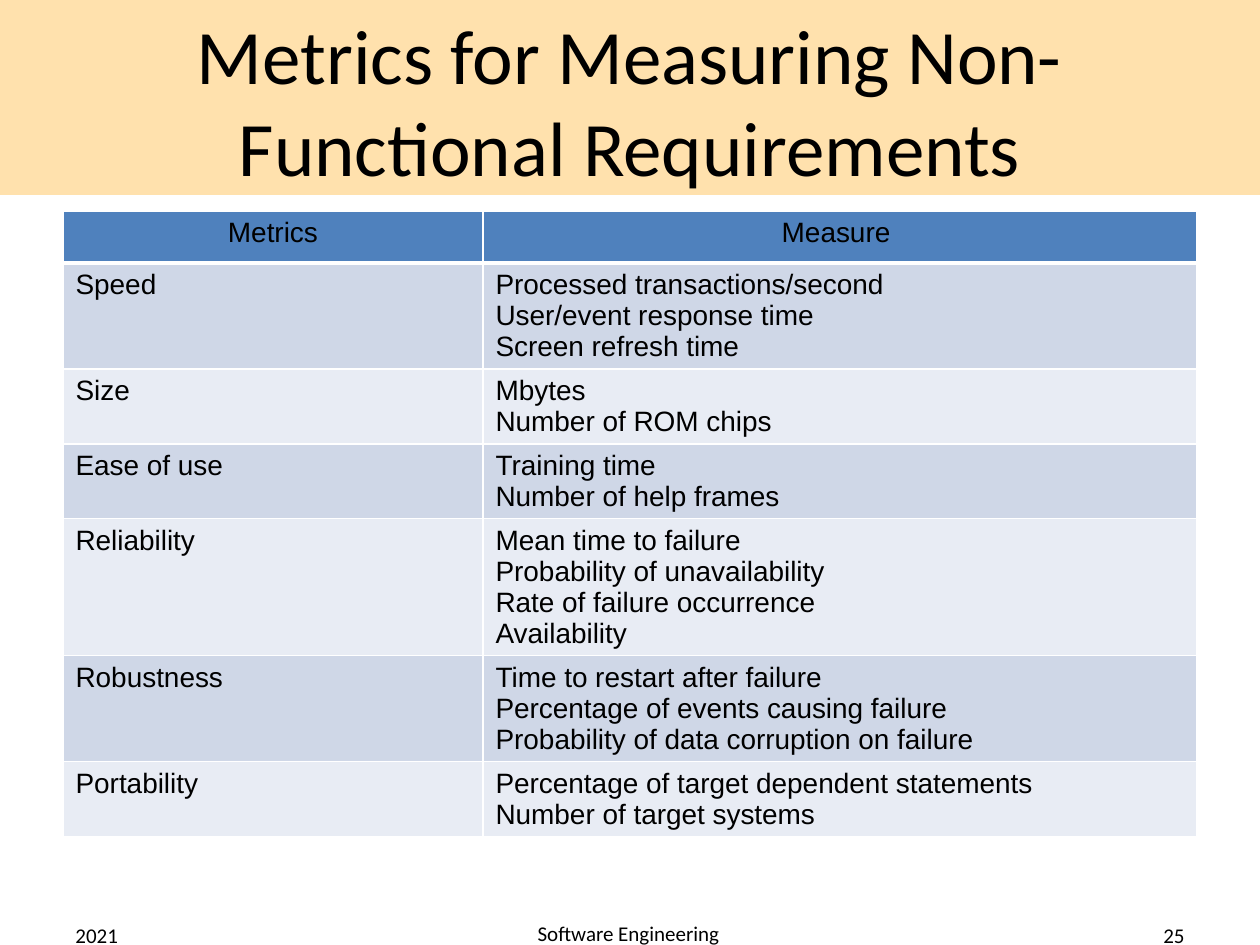
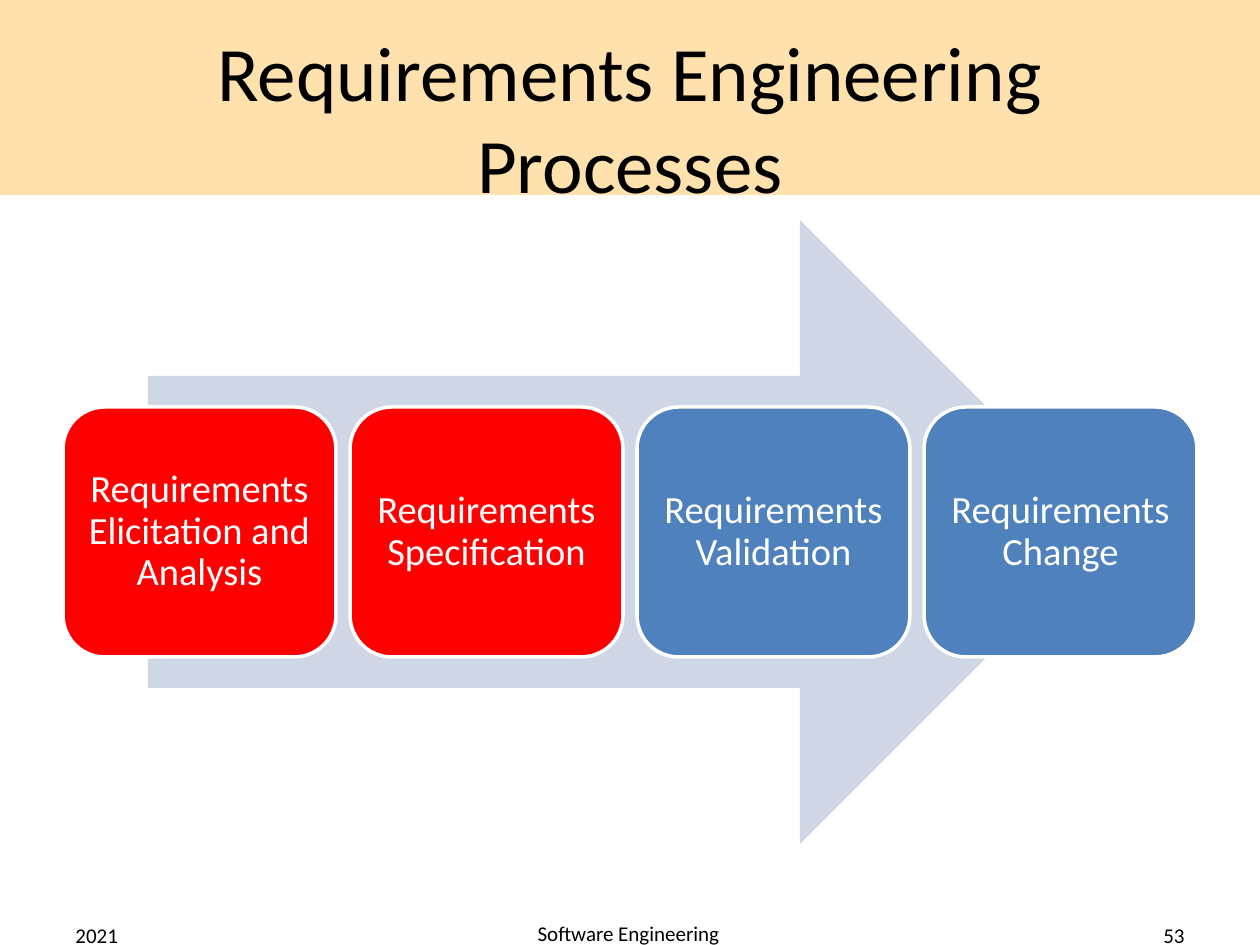
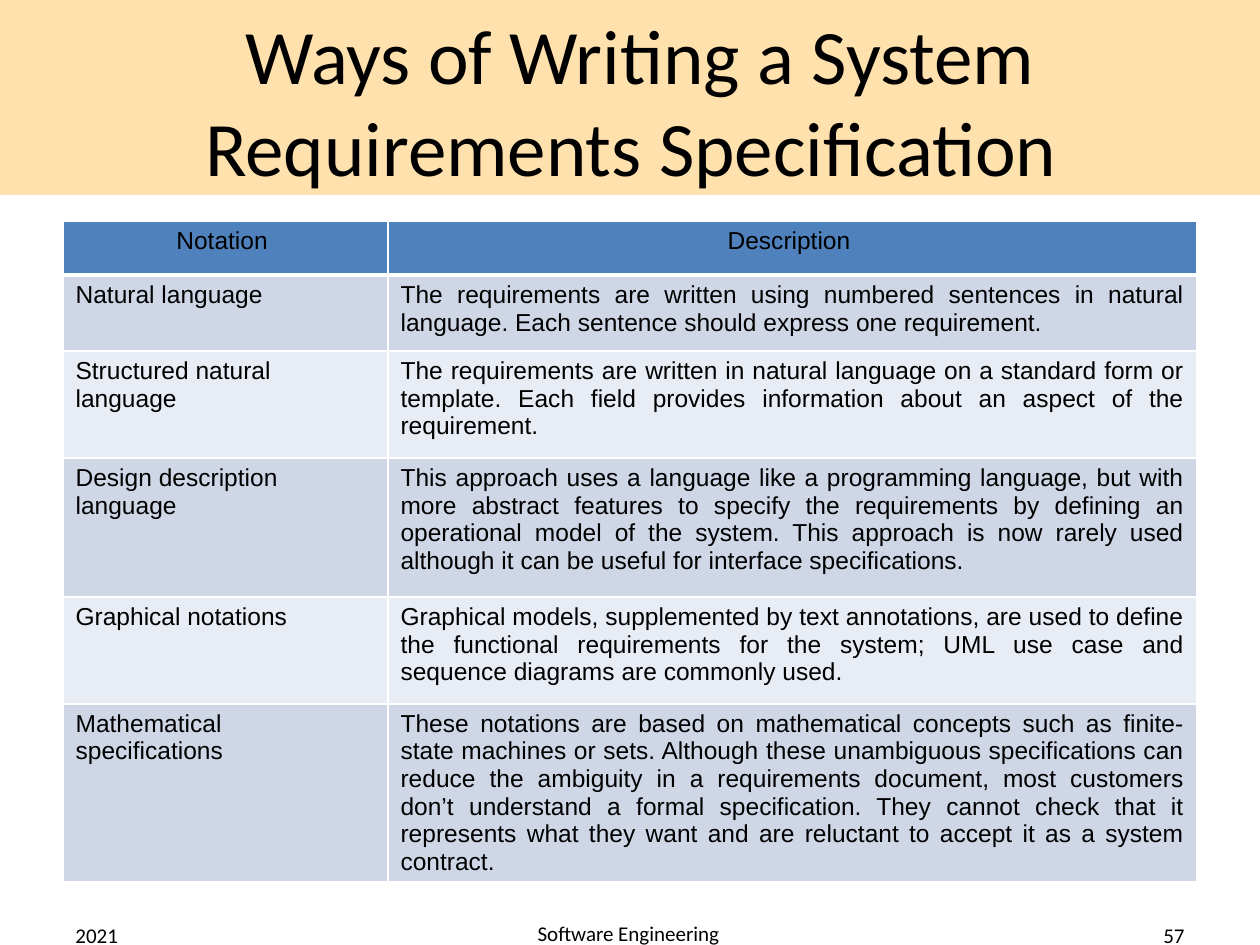
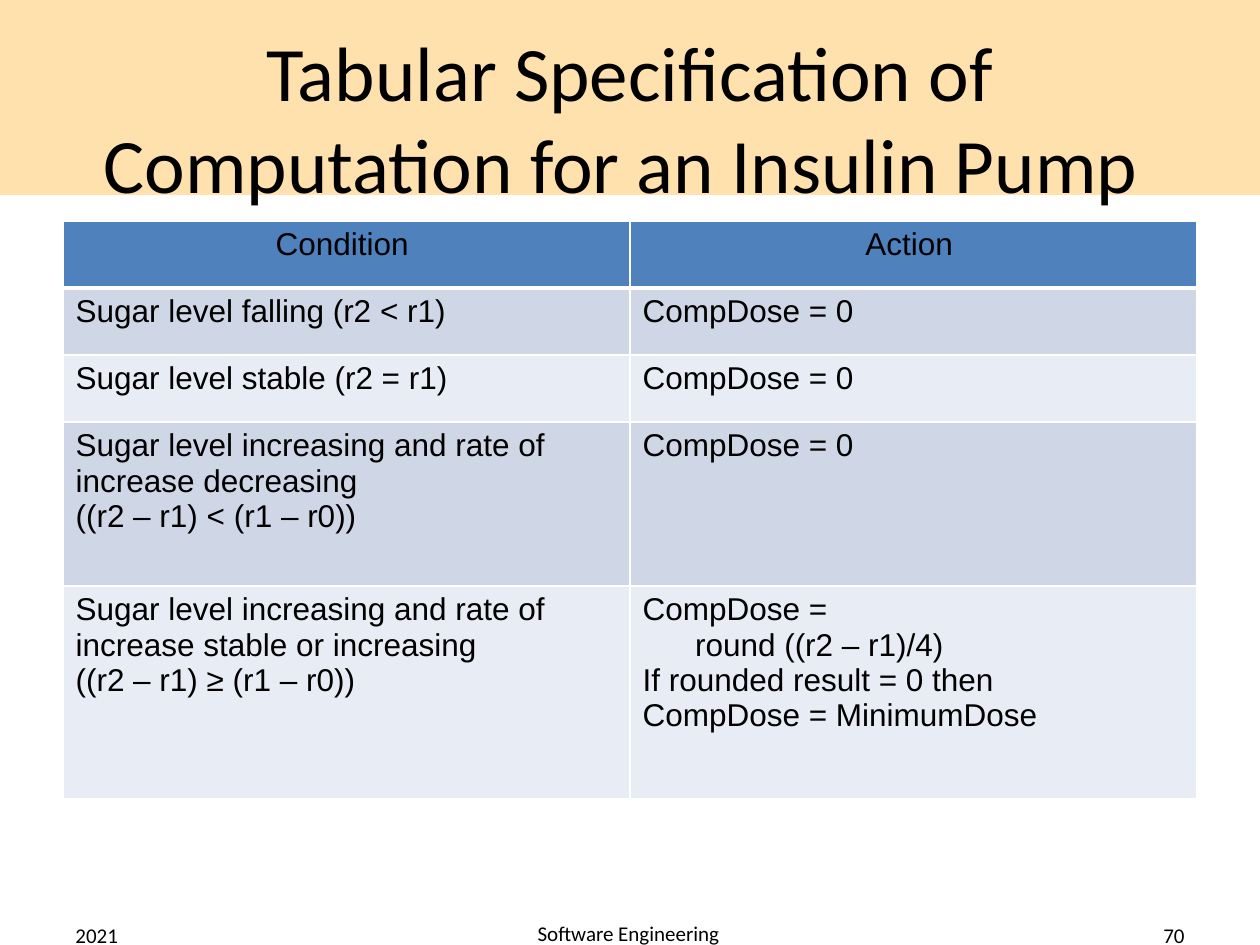
from dataclasses import dataclass

from lxml import etree
from pptx import Presentation
from pptx.dml.color import RGBColor
from pptx.enum import shapes, text
from pptx.oxml import ns
from pptx.util import Emu, Pt

LEFT, CENTER, RIGHT, JUSTIFY = (
    text.PP_ALIGN.LEFT, text.PP_ALIGN.CENTER, text.PP_ALIGN.RIGHT, text.PP_ALIGN.JUSTIFY)


@dataclass(frozen=True)
class Theme:
    band: str = "FFE1AD"
    ink: str = "000000"
    paper: str = "FFFFFF"
    accent: str = "4F81BD"
    done: str = "FF0000"
    tint: str = "CFD7E7"
    pale: str = "E8ECF4"
    heading_font: str = "Calibri"
    table_font: str = "Arial"
    title_size: int = 44
    step_size: int = 22
    footer_size: int = 12


THEME = Theme()
PX_PER_INCH = 126
MARGIN, CONTENT_WIDTH = 63, 1134
BAND_HEIGHT, TITLE_HEIGHT = 195, 158

# In cell text, \n starts a paragraph and \v breaks a line.
METRICS = dict(
    top=211, height=664, columns=(420, 714), rows=[52] * 7, size=16, aligns=(JUSTIFY, JUSTIFY),
    cells=[
        ("Metrics", "Measure "),
        ("Speed ", "Processed transactions/second\nUser/event response time\nScreen refresh time"),
        ("Size ", "Mbytes\nNumber of ROM chips"),
        ("Ease of use", "Training time\nNumber of help frames"),
        ("Reliability", "Mean time to failure\nProbability of unavailability\n"
                        "Rate of failure occurrence\nAvailability"),
        ("Robustness ", "Time to restart after failure\nPercentage of events causing failure\n"
                        "Probability of data corruption on failure"),
        ("Portability ", "Percentage of target dependent statements\nNumber of target systems"),
    ])
NOTATIONS = dict(
    top=221, height=652, columns=(325, 809), rows=[54, 76, 107, 139, 107, 169], size=14,
    aligns=(LEFT, JUSTIFY),
    cells=[
        ("Notation ", "Description "),
        ("Natural language",
         "The requirements are written using numbered sentences in natural language. "
         "Each sentence should express one requirement."),
        ("Structured natural language",
         "The requirements are written in natural language on a standard form or template. "
         "Each field provides information about an aspect of the requirement."),
        ("Design description language",
         "This approach uses a language like a programming language, but with more abstract "
         "features to specify the requirements by defining an operational model of the system. "
         "This approach is now rarely used although it can be useful for interface "
         "specifications."),
        ("Graphical notations",
         "Graphical models, supplemented by text annotations, are used to define the functional "
         "requirements for the system; UML use case and sequence diagrams are commonly used."),
        ("Mathematical specifications",
         "These notations are based on mathematical concepts such as finite-state machines or "
         "sets. Although these unambiguous specifications can reduce the ambiguity in a "
         "requirements document, most customers don’t understand a formal specification. They "
         "cannot check that it represents what they want and are reluctant to accept it as a "
         "system contract."),
    ])
DOSES = dict(
    top=221, height=578, columns=(567, 567), rows=[67, 67, 67, 164, 213], size=18,
    aligns=(LEFT, LEFT),
    cells=[
        ("Condition ", "Action "),
        ("Sugar level falling (r2 < r1)", "CompDose = 0"),
        ("Sugar level stable (r2 = r1)", "CompDose = 0"),
        ("Sugar level increasing and rate of increase decreasing \v((r2 – r1) < (r1 – r0))",
         "CompDose = 0"),
        ("Sugar level increasing and rate of increase stable or increasing \v"
         "((r2 – r1) ≥ (r1 – r0))",
         "CompDose = \v      round ((r2 – r1)/4)\nIf rounded result = 0 then\n"
         "CompDose = MinimumDose"),
    ])
PROCESS = [
    ("Requirements Elicitation and Analysis", THEME.done),
    ("Requirements Specification", THEME.done),
    ("Requirements Validation", THEME.accent),
    ("Requirements Change", THEME.accent),
]


def px(length):
    return Emu(round(length * 914400 / PX_PER_INCH))


def box(*lengths):
    return [px(length) for length in lengths]


def rgb(color):
    return RGBColor.from_string(color)


def write(frame, words, size, align, font=THEME.heading_font, color=THEME.ink):
    frame.text = words
    frame.word_wrap = True
    for paragraph in frame.paragraphs:
        paragraph.alignment = align
        for run in paragraph.runs:
            run.font.name, run.font.size, run.font.bold = font, Pt(size), False
            run.font.color.rgb = rgb(color)


def add_figure(slide, preset, place, fill, outline=None):
    figure = slide.shapes.add_shape(preset, *box(*place))
    figure.shadow.inherit = False
    figure.fill.solid()
    figure.fill.fore_color.rgb = rgb(fill)
    if outline:
        figure.line.color.rgb = rgb(outline)
        figure.line.width = Pt(2)
    else:
        figure.line.fill.background()
    return figure


def add_band(layout, slide):
    """Draw the title band and move it to the back of the shared layout."""
    band = add_figure(slide, shapes.MSO_SHAPE.RECTANGLE,
                      (0, 0, MARGIN * 2 + CONTENT_WIDTH, BAND_HEIGHT), THEME.band)
    layout.shapes._spTree.insert(2, band._element)


def add_title(slide, words, left, top):
    title = slide.shapes.title
    title.left, title.top, title.width, title.height = box(left, top, CONTENT_WIDTH, TITLE_HEIGHT)
    write(title.text_frame, words, THEME.title_size, CENTER)
    title.text_frame.auto_size = text.MSO_AUTO_SIZE.NONE
    title.text_frame.vertical_anchor = text.MSO_ANCHOR.MIDDLE


def add_footer(slide, number):
    for words, place, align in (
            ("2021", (MARGIN, 910, 294, 50), LEFT),
            ("Software Engineering", (340, 912, 577, 42), CENTER),
            (number, (903, 910, 294, 50), RIGHT)):
        frame = slide.shapes.add_textbox(*box(*place)).text_frame
        write(frame, words, THEME.footer_size, align)
        frame.vertical_anchor = text.MSO_ANCHOR.MIDDLE


def add_borders(cell, bottom_width):
    properties = cell._tc.get_or_add_tcPr()
    widths = {"a:lnL": 1, "a:lnR": 1, "a:lnT": 1, "a:lnB": bottom_width}
    for place, (side, width) in enumerate(widths.items()):
        line = etree.Element(ns.qn(side), w=str(Pt(width)))
        solid = etree.SubElement(line, ns.qn("a:solidFill"))
        etree.SubElement(solid, ns.qn("a:srgbClr"), val=THEME.paper)
        properties.insert(place, line)


def add_grid(slide, content):
    cells = content["cells"]
    holder = slide.shapes.add_table(
        len(cells), len(content["columns"]),
        *box(MARGIN, content["top"], CONTENT_WIDTH, content["height"]))
    grid = holder.table
    for column, width in zip(grid.columns, content["columns"]):
        column.width = px(width)
    for row, height in zip(grid.rows, content["rows"]):
        row.height = px(height)
    holder.height = px(content["height"])
    for r, row in enumerate(cells):
        header = r == 0
        fill = THEME.accent if header else (THEME.pale, THEME.tint)[r % 2]
        for c, (words, align) in enumerate(zip(row, content["aligns"])):
            cell = grid.cell(r, c)
            write(cell.text_frame, words, content["size"], CENTER if header else align,
                  THEME.table_font)
            cell.fill.solid()
            cell.fill.fore_color.rgb = rgb(fill)
            add_borders(cell, 3 if header else 1)


def add_process(slide, steps):
    step_width, step_height, step_top, inset = 273, 250, 407, 12
    pitch = (CONTENT_WIDTH - step_width) / (len(steps) - 1)
    add_figure(slide, shapes.MSO_SHAPE.RIGHT_ARROW, (148, 220, 964, 624), THEME.tint)
    for i, (words, fill) in enumerate(steps):
        step = add_figure(slide, shapes.MSO_SHAPE.ROUNDED_RECTANGLE,
                          (MARGIN + i * pitch, step_top, step_width, step_height),
                          fill, THEME.paper)
        frame = step.text_frame
        write(frame, words, THEME.step_size, CENTER, color=THEME.paper)
        frame.paragraphs[0].line_spacing = 0.9
        frame.vertical_anchor = text.MSO_ANCHOR.MIDDLE
        frame.margin_left = frame.margin_right = px(inset)
        frame.margin_top = frame.margin_bottom = px(inset)


# title, title left, title top, page number, drawing function, content
SLIDES = [
    ("Metrics for Measuring Non-Functional Requirements", MARGIN, 21, "25", add_grid, METRICS),
    ("Requirements Engineering Processes", MARGIN, 38, "53", add_process, PROCESS),
    ("Ways of Writing a System Requirements Specification ", 73, 21, "57", add_grid, NOTATIONS),
    ("Tabular Specification of Computation for an Insulin Pump ", MARGIN, 38, "70",
     add_grid, DOSES),
]


def main():
    deck = Presentation()
    deck.slide_width, deck.slide_height = box(1260, 945)
    layout = deck.slide_layouts.get_by_name("Title Only")
    for i, (title, left, top, number, draw, content) in enumerate(SLIDES):
        slide = deck.slides.add_slide(layout)
        if i == 0:
            add_band(layout, slide)
        add_title(slide, title, left, top)
        draw(slide, content)
        add_footer(slide, number)
    deck.save("out.pptx")


if __name__ == "__main__":
    main()
